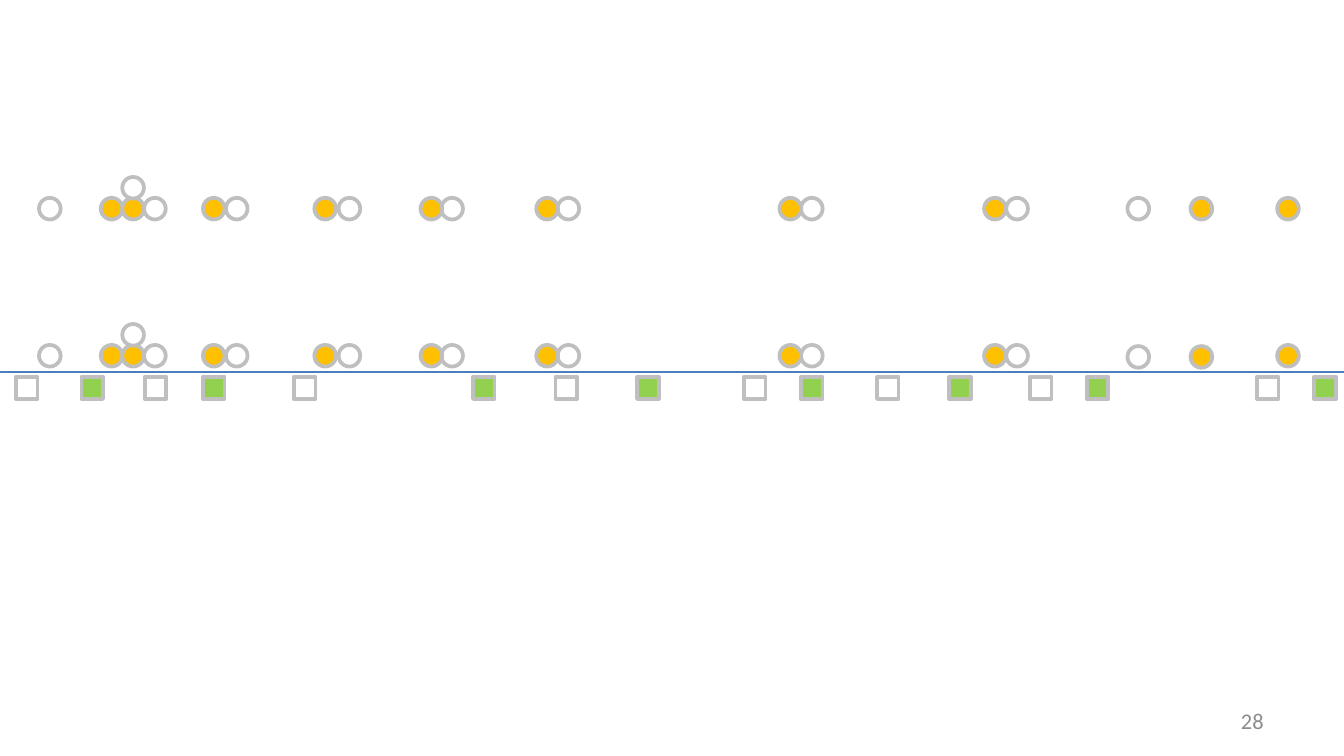
from pptx import Presentation
from pptx.dml.color import RGBColor
from pptx.enum.shapes import MSO_CONNECTOR, MSO_SHAPE
from pptx.enum.text import MSO_ANCHOR, PP_ALIGN
from pptx.oxml.ns import qn
from pptx.util import Pt
from lxml import etree

RECTANGLE, OVAL = MSO_SHAPE.RECTANGLE, MSO_SHAPE.OVAL
STRAIGHT = MSO_CONNECTOR.STRAIGHT
RIGHT, MIDDLE = PP_ALIGN.RIGHT, MSO_ANCHOR.MIDDLE

SLIDE_WIDTH, SLIDE_HEIGHT = 720, 405
WHITE, AMBER, GREEN = "FFFFFF", "FFC000", "92D050"
OUTLINE, AXIS_BLUE, NUMBER_GRAY = "BFBFBF", "4B7EBC", "8C8C8C"

CIRCLE_SIZE = 11.6
STACK_RISE = 11.2
STACKED_LEFT = 65.5
AMBER_LEFTS = [54, 65.5, 108.7, 168.4, 225.3, 287.3, 417.6, 527.2]
WHITE_LEFTS = [20.9, 77.2, 121, 181.4, 236.4, 298.7, 429.1, 539.1]
LATE_PAIR = [(604, WHITE), (637.8, AMBER)]
LAST_LEFT = 684.2

SQUARE_WIDTH, SQUARE_HEIGHT = 11.6, 12
SQUARE_LEFTS = [8.5, 43.6, 77.5, 108.7, 157.4, 253.4, 297.6, 341.3,
                398.5, 429, 469.8, 508.5, 551.7, 582.2, 673.3, 704]


def color(value):
    return RGBColor.from_string(value)


def add_marker(slide, kind, left, top, width, height, fill=None):
    shape = slide.shapes.add_shape(kind, Pt(left), Pt(top), Pt(width), Pt(height))
    shape.shadow.inherit = False
    if fill:
        shape.fill.solid()
        shape.fill.fore_color.rgb = color(fill)
    else:
        shape.fill.background()
    shape.line.color.rgb = color(OUTLINE)
    shape.line.width = Pt(2)


def add_circle_row(slide, top, late_pair_drop=0):
    """Draw one row of events; late_pair_drop lowers the pair near the right end."""
    circles = [(left, top, WHITE) for left in WHITE_LEFTS]
    circles += [(left, top, AMBER) for left in AMBER_LEFTS + [LAST_LEFT]]
    circles.append((STACKED_LEFT, top - STACK_RISE, WHITE))
    circles += [(left, top + late_pair_drop, fill) for left, fill in LATE_PAIR]
    for left, circle_top, fill in circles:
        add_marker(slide, OVAL, left, circle_top, CIRCLE_SIZE, CIRCLE_SIZE, fill)


def add_square_row(slide, top):
    """Draw the squares below the axis, alternately empty and green."""
    for index, left in enumerate(SQUARE_LEFTS):
        fill = GREEN if index % 2 else None
        add_marker(slide, RECTANGLE, left, top, SQUARE_WIDTH, SQUARE_HEIGHT, fill)


def add_axis(slide, left, right, top):
    axis = slide.shapes.add_connector(STRAIGHT, Pt(left), Pt(top), Pt(right), Pt(top))
    axis.line.color.rgb = color(AXIS_BLUE)
    axis.line.width = Pt(1)
    etree.SubElement(axis._element.spPr, qn("a:effectLst"))


def add_text(slide, text, left, top, width, height, *, size, font, text_color,
             align, anchor):
    box = slide.shapes.add_textbox(Pt(left), Pt(top), Pt(width), Pt(height))
    frame = box.text_frame
    frame.word_wrap = True
    frame.vertical_anchor = anchor
    paragraph = frame.paragraphs[0]
    paragraph.alignment = align
    run = paragraph.add_run()
    run.text = text
    run.font.size = Pt(size)
    run.font.name = font
    run.font.color.rgb = color(text_color)


def main():
    presentation = Presentation()
    presentation.slide_width = Pt(SLIDE_WIDTH)
    presentation.slide_height = Pt(SLIDE_HEIGHT)
    slide = presentation.slides.add_slide(presentation.slide_layouts[6])

    add_text(slide, "28", 516, 375.4, 168, 21.6, size=12, font="Calibri",
             text_color=NUMBER_GRAY, align=RIGHT, anchor=MIDDLE)
    add_axis(slide, -20, 745, 199.3)
    add_square_row(slide, 201.8)
    add_circle_row(slide, 184.8, late_pair_drop=0.6)
    add_circle_row(slide, 106)
    presentation.save("out.pptx")


if __name__ == "__main__":
    main()
